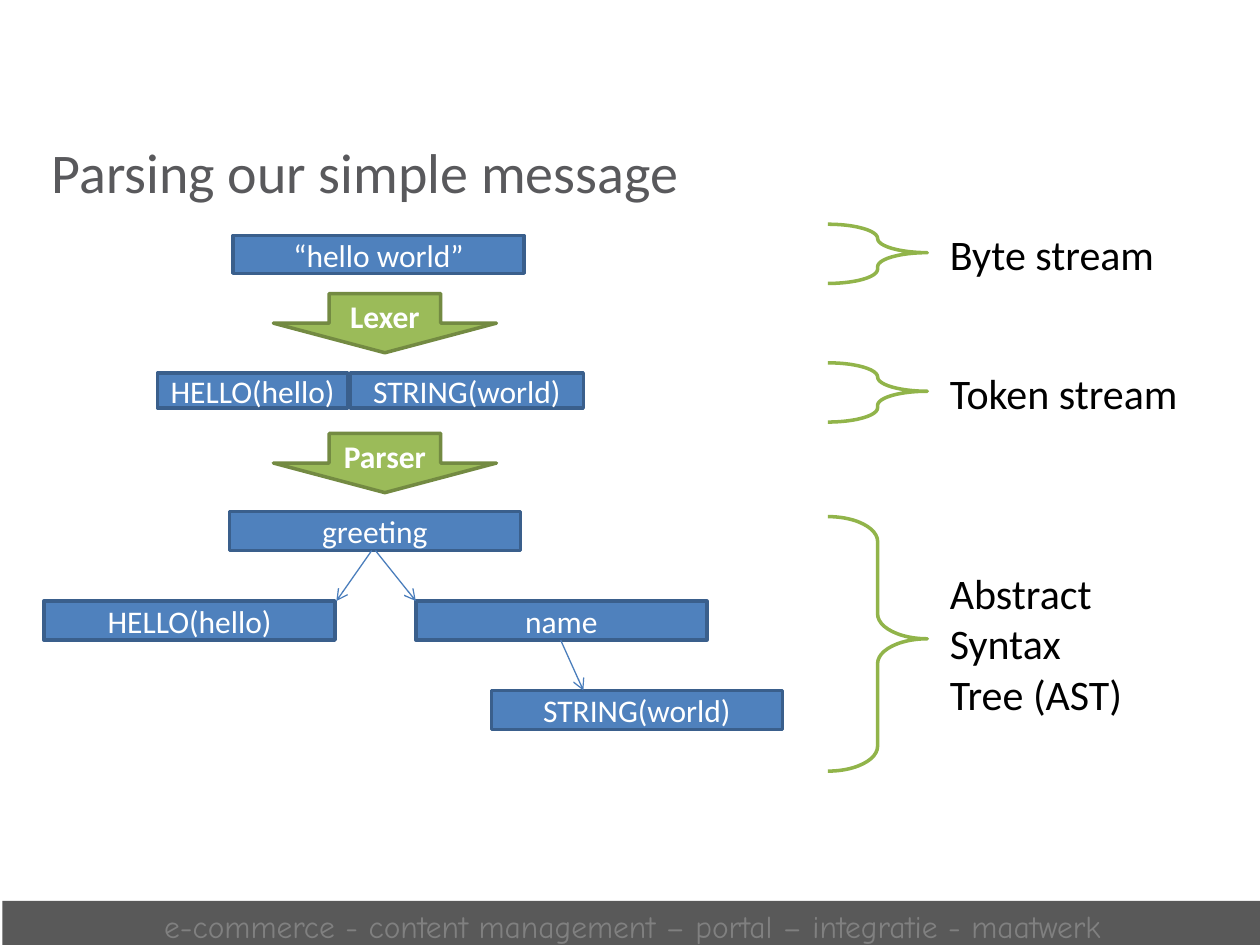
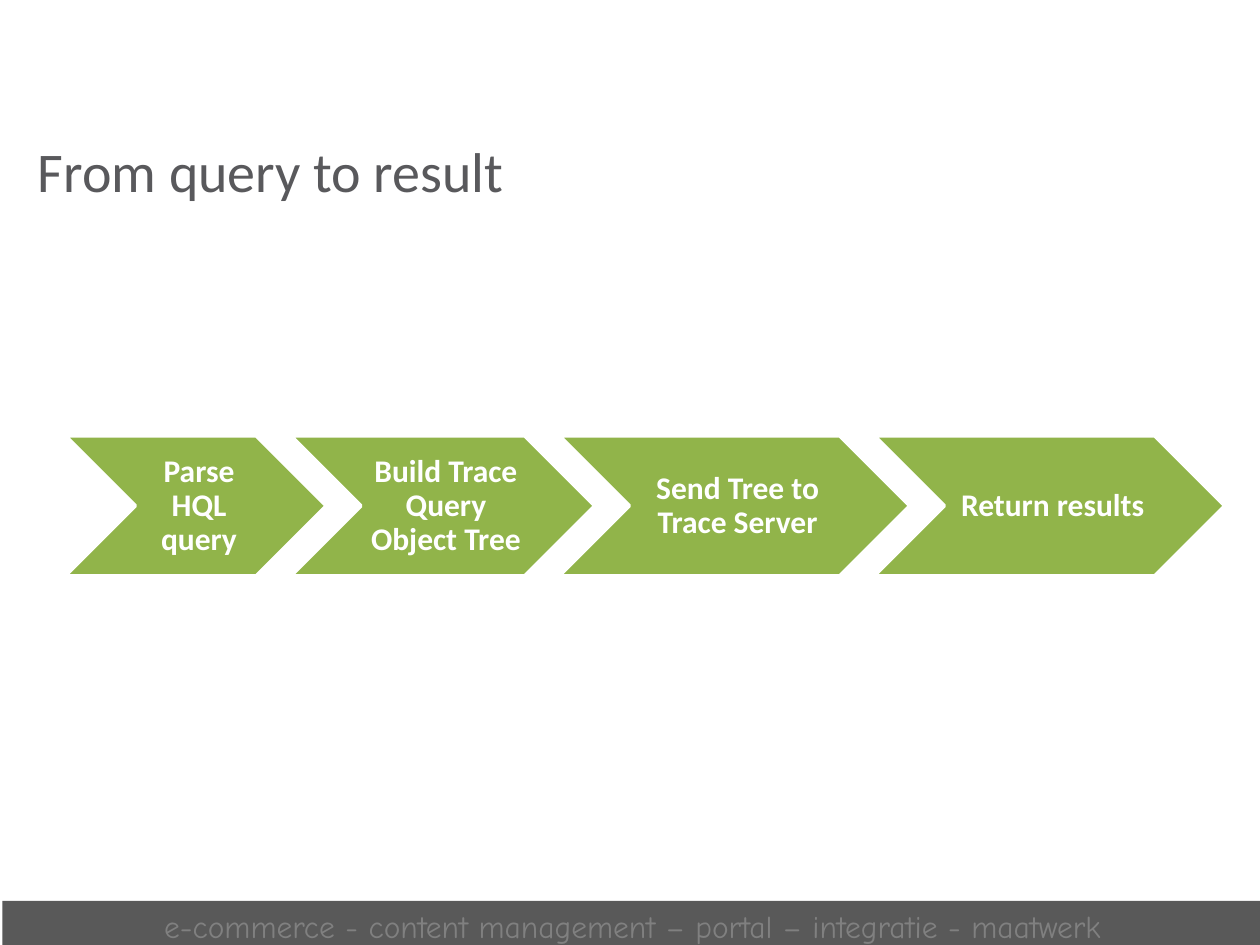
from lxml import etree
from pptx import Presentation
from pptx.dml.color import RGBColor
from pptx.enum.shapes import MSO_CONNECTOR, MSO_SHAPE
from pptx.enum.text import MSO_ANCHOR, MSO_AUTO_SIZE, PP_ALIGN
from pptx.oxml.ns import qn
from pptx.util import Inches, Pt

RECT, DOWN_ARROW = MSO_SHAPE.RECTANGLE, MSO_SHAPE.DOWN_ARROW
BRACE, CHEVRON = MSO_SHAPE.RIGHT_BRACE, MSO_SHAPE.CHEVRON
STRAIGHT = MSO_CONNECTOR.STRAIGHT
TOP, MIDDLE = MSO_ANCHOR.TOP, MSO_ANCHOR.MIDDLE
LEFT, CENTER = PP_ALIGN.LEFT, PP_ALIGN.CENTER
NO_FIT, GROW = MSO_AUTO_SIZE.NONE, MSO_AUTO_SIZE.SHAPE_TO_FIT_TEXT

WHITE = RGBColor(0xFF, 0xFF, 0xFF)
BLACK = RGBColor(0x00, 0x00, 0x00)
TITLE_GREY = RGBColor(0x59, 0x59, 0x5C)
BAND_GREY = RGBColor(0x59, 0x59, 0x59)
BAND_TEXT = RGBColor(0x80, 0x80, 0x80)
BLUE = RGBColor(0x4F, 0x81, 0xBD)
BLUE_EDGE = RGBColor(0x3A, 0x5F, 0x8C)
BLUE_LINK = RGBColor(0x4B, 0x7E, 0xBC)
OLIVE = RGBColor(0x9B, 0xBB, 0x59)
OLIVE_EDGE = RGBColor(0x73, 0x8A, 0x42)
GREEN = RGBColor(0x91, 0xB4, 0x4A)

BODY_FONT, BAND_FONT = "Calibri", "Comic Neue"


def inches(*values):
    return [Inches(v) for v in values]


def write(shape, text, size=18, color=WHITE, font=BODY_FONT, bold=False,
          align=CENTER, anchor=MIDDLE, fit=NO_FIT):
    tf = shape.text_frame
    tf.text = text
    tf.word_wrap = True
    tf.auto_size = fit
    tf.vertical_anchor = anchor
    for p in tf.paragraphs:
        p.alignment = align
        p.font.name, p.font.size, p.font.bold = font, Pt(size), bold
        p.font.color.rgb = color
    return tf


def draw(shapes, kind, box, fill=None, edge=None):
    sp = shapes.add_shape(kind, *inches(*box))
    sp.shadow.inherit = False
    if fill is None:
        sp.fill.background()
    else:
        sp.fill.solid()
        sp.fill.fore_color.rgb = fill
    if edge is None:
        sp.line.fill.background()
    else:
        sp.line.color.rgb = edge
        sp.line.width = Pt(2)
    return sp


def node(shapes, text, left, top, width, height):
    sp = draw(shapes, RECT, (left, top, width, height), BLUE, BLUE_EDGE)
    tf = write(sp, text)
    tf.margin_left = tf.margin_right = Inches(0.05)


def link(shapes, x1, y1, x2, y2):
    c = shapes.add_connector(STRAIGHT, *inches(x1, y1, x2, y2))
    c.line.color.rgb = BLUE_LINK
    c.line.width = Pt(0.75)
    props = c.element.spPr
    line = props.find(qn("a:ln"))
    etree.SubElement(line, qn("a:tailEnd")).set("type", "arrow")
    etree.SubElement(props, qn("a:effectLst"))


def add_footer_to_master(prs, s):
    band = draw(s.shapes, RECT, (0.02, 7.15, 10, 0.4), BAND_GREY)
    write(band, "e-commerce - content management – portal – integratie - maatwerk",
          color=BAND_TEXT, font=BAND_FONT, anchor=TOP)
    prs.slide_master.shapes.element.append(band.element)


def add_titled_slide(prs, title, left, top):
    s = prs.slides.add_slide(prs.slide_layouts[5])
    sp = s.shapes.title
    sp.left, sp.top, sp.width, sp.height = inches(left, top, 9.3, 0.83)
    write(sp, title, 32, TITLE_GREY, align=LEFT, anchor=TOP)
    return s


def stage_arrow(s, text, left, top):
    sp = draw(s.shapes, DOWN_ARROW, (left, top, 1.77, 0.47), OLIVE, OLIVE_EDGE)
    write(sp, text, bold=True)


def token_row(s, left, top):
    shapes = s.shapes.add_group_shape().shapes
    node(shapes, "HELLO(hello)", left, top, 1.51, 0.28)
    node(shapes, "STRING(world)", left + 1.53, top, 1.85, 0.28)


def syntax_tree(s, left, top):
    shapes = s.shapes.add_group_shape().shapes
    width, height, step = 2.31, 0.31, 0.71
    nodes = [("greeting", 1.47, 0), ("HELLO(hello)", 0, 1),
             ("name", 2.95, 1), ("STRING(world)", 3.55, 2)]
    for text, x, level in nodes:
        node(shapes, text, left + x, top + level * step, width, height)
    for x1, x2, level in [(2.6, 2.32, 0), (2.63, 2.95, 0), (4.1, 4.28, 1)]:
        y = top + level * step
        link(shapes, left + x1, y + height, left + x2, y + step)


def brace_label(s, text, left, top, height, text_width, text_height):
    brace = draw(s.shapes, BRACE, (left, top, 0.79, height), edge=GREEN)
    brace.adjustments[0], brace.adjustments[1] = 0.25, 0.48
    text_top = top + (height - text_height) / 2
    label = s.shapes.add_textbox(*inches(left + 0.87, text_top, text_width, text_height))
    write(label, text, 24, BLACK, align=LEFT, anchor=TOP, fit=GROW)


def chevron_process(s, left, top, height, steps):
    shapes = s.shapes.add_group_shape().shapes
    overlap = 0.28
    for text, width in steps:
        draw(shapes, CHEVRON, (left, top, width, height), GREEN, WHITE)
        label = shapes.add_textbox(
            *inches(left + height / 2, top, width - height, height))
        tf = write(label, text, bold=True)
        tf.margin_left = Inches(0.08)
        tf.margin_top = tf.margin_right = tf.margin_bottom = Inches(0.03)
        tf.paragraphs[0].line_spacing = 0.9
        left += width - overlap


def parsing_slide(prs):
    s = add_titled_slide(prs, "Parsing our simple message", 0.31, 1.04)
    node(s.shapes, "“hello world”", 1.85, 1.87, 2.31, 0.3)
    token_row(s, 1.25, 2.96)
    syntax_tree(s, 0.35, 4.06)
    stage_arrow(s, "Lexer", 2.17, 2.33)
    stage_arrow(s, "Parser", 2.17, 3.44)
    brace_label(s, "Byte stream", 6.57, 1.78, 0.47, 1.97, 0.5)
    brace_label(s, "Abstract\nSyntax\nTree (AST)", 6.57, 4.1, 2.02, 1.97, 1.31)
    brace_label(s, "Token stream", 6.57, 2.88, 0.47, 2.36, 0.5)
    return s


def query_slide(prs):
    s = add_titled_slide(prs, "From query to result", 0.2, 1.03)
    chevron_process(s, 0.52, 3.46, 1.11, [
        ("Parse HQL query", 2.07),
        ("Build Trace Query Object Tree", 2.41),
        ("Send Tree to Trace Server", 2.78),
        ("Return results", 2.78),
    ])


prs = Presentation()
prs.slide_width, prs.slide_height = inches(10, 7.5)
first = parsing_slide(prs)
add_footer_to_master(prs, first)
query_slide(prs)
prs.save("out.pptx")
